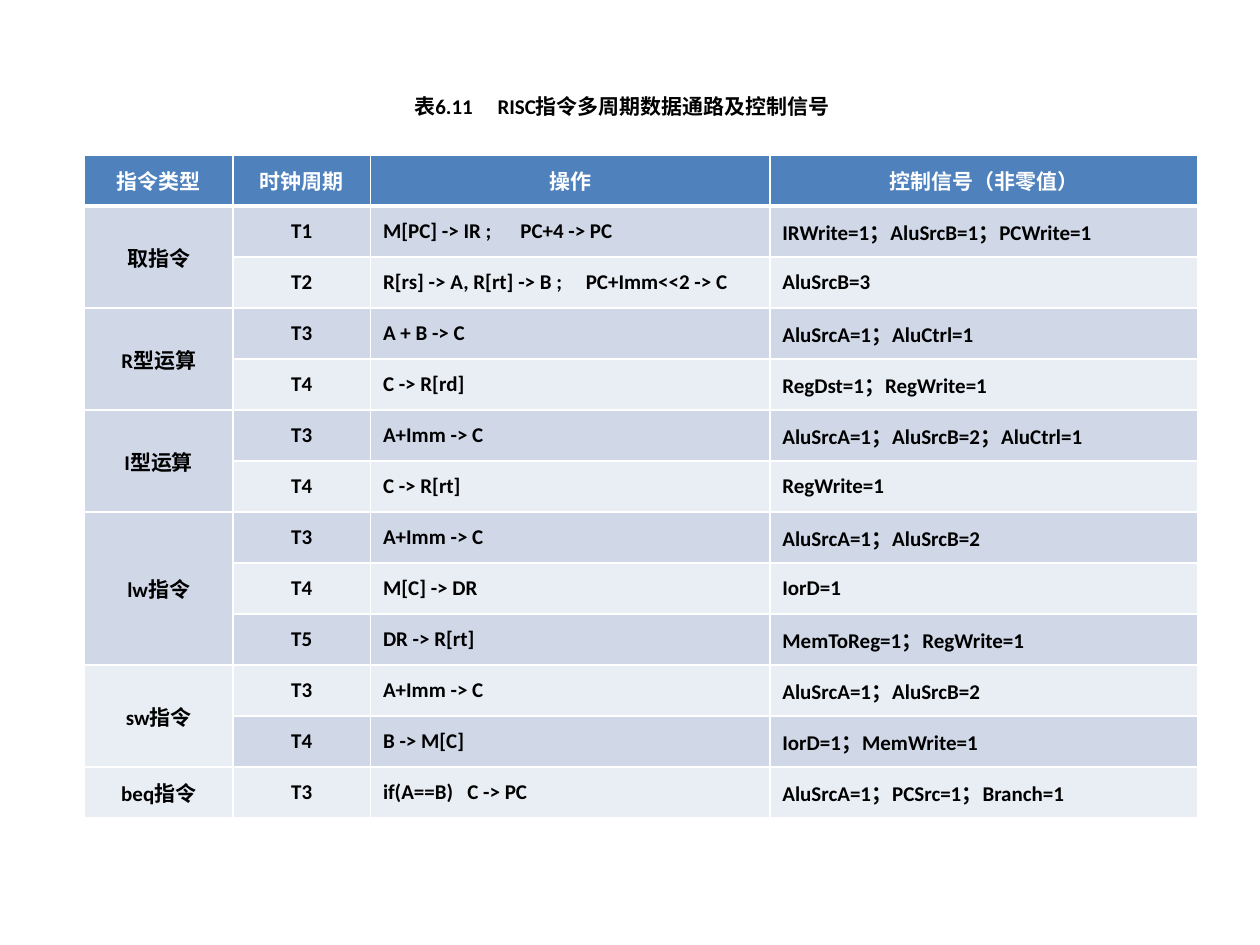
from lxml.etree import SubElement
from pptx import Presentation
from pptx.dml.color import RGBColor
from pptx.enum.text import MSO_ANCHOR, MSO_AUTO_SIZE, PP_ALIGN
from pptx.oxml.ns import qn
from pptx.util import Inches, Pt

TITLE = "表6.11\tRISC指令多周期数据通路及控制信号"
HEADINGS = ["指令类型", "时钟周期", "操作", "控制信号（非零值）"]
INSTRUCTIONS = [
    ("取指令", [
        ("T1", "M[PC] -> IR ;\tPC+4 -> PC", "IRWrite=1；AluSrcB=1；PCWrite=1"),
        ("T2", "R[rs] -> A, R[rt] -> B ;\tPC+Imm<<2 -> C", "AluSrcB=3"),
    ]),
    ("R型运算", [
        ("T3", "A + B -> C", "AluSrcA=1；AluCtrl=1"),
        ("T4", "C -> R[rd]", "RegDst=1；RegWrite=1"),
    ]),
    ("I型运算", [
        ("T3", "A+Imm -> C", "AluSrcA=1；AluSrcB=2；AluCtrl=1"),
        ("T4", "C -> R[rt]", "RegWrite=1"),
    ]),
    ("lw指令", [
        ("T3", "A+Imm -> C", "AluSrcA=1；AluSrcB=2"),
        ("T4", "M[C] -> DR", "IorD=1"),
        ("T5", "DR -> R[rt]", "MemToReg=1；RegWrite=1"),
    ]),
    ("sw指令", [
        ("T3", "A+Imm -> C", "AluSrcA=1；AluSrcB=2"),
        ("T4", "B -> M[C]", "IorD=1；MemWrite=1"),
    ]),
    ("beq指令", [
        ("T3", "if(A==B)\tC -> PC", "AluSrcA=1；PCSrc=1；Branch=1"),
    ]),
]
# Where the text after the tab starts, in inches from the text's left edge
TAB_STOPS = {"表6.11": 0.66, "M[PC] -> IR ;": 1.09,
             "R[rs] -> A, R[rt] -> B ;": 1.61, "if(A==B)": 0.67}

COLUMN_WIDTHS = [1.18, 1.09, 3.17, 3.4]
ROW_HEIGHT = 0.405
HEADER_FILL = "4F81BD"
BAND_FILLS = ["D0D8E8", "E9EDF4"]
WHITE, BLACK = "FFFFFF", "000000"


def rgb(color):
    return RGBColor.from_string(color)


def write(frame, text, color=BLACK, align=PP_ALIGN.LEFT, size=12):
    paragraph = frame.paragraphs[0]
    paragraph.alignment = align
    before_tab, tab, _ = text.partition("\t")
    if tab:
        tabs = SubElement(paragraph._p.get_or_add_pPr(), qn("a:tabLst"))
        SubElement(tabs, qn("a:tab"), pos=str(Inches(TAB_STOPS[before_tab])), algn="l")
    run = paragraph.add_run()
    run.text = text
    run.font.name = "Calibri"
    run.font.size = Pt(size)
    run.font.bold = True
    run.font.color.rgb = rgb(color)


def add_borders(cell, top=1, bottom=1):
    widths = {"a:lnL": 1, "a:lnR": 1, "a:lnT": top, "a:lnB": bottom}
    for tag, width in widths.items():
        line = SubElement(cell._tc.get_or_add_tcPr(), qn(tag), w=str(Pt(width)))
        SubElement(SubElement(line, qn("a:solidFill")), qn("a:srgbClr"), val=WHITE)


def format_cell(cell, fill, **borders):
    add_borders(cell, **borders)
    cell.fill.solid()
    cell.fill.fore_color.rgb = rgb(fill)
    cell.vertical_anchor = MSO_ANCHOR.MIDDLE


def add_title(slide):
    box = slide.shapes.add_textbox(Inches(3.19), Inches(0.69), Inches(3.55), Inches(0.3))
    box.text_frame.word_wrap = True
    box.text_frame.auto_size = MSO_AUTO_SIZE.SHAPE_TO_FIT_TEXT
    write(box.text_frame, TITLE)


def add_signal_table(slide):
    row_count = 1 + sum(len(cycles) for _, cycles in INSTRUCTIONS)
    table = slide.shapes.add_table(
        row_count, len(HEADINGS), Inches(0.67), Inches(1.23),
        Inches(sum(COLUMN_WIDTHS)), Inches(ROW_HEIGHT * row_count)).table
    for column, width in zip(table.columns, COLUMN_WIDTHS):
        column.width = Inches(width)
    for row in table.rows:
        row.height = Inches(ROW_HEIGHT)

    for column, heading in enumerate(HEADINGS):
        cell = table.cell(0, column)
        format_cell(cell, HEADER_FILL, bottom=3)
        write(cell.text_frame, heading, color=WHITE, align=PP_ALIGN.CENTER)

    row = 1
    for instruction, cycles in INSTRUCTIONS:
        first_row = row
        for cycle in cycles:
            label = instruction if row == first_row else ""
            for column, text in enumerate((label, *cycle)):
                cell = table.cell(row, column)
                format_cell(cell, BAND_FILLS[(row - 1) % 2], top=3 if row == 1 else 1)
                if text:
                    align = PP_ALIGN.CENTER if column < 2 else PP_ALIGN.LEFT
                    write(cell.text_frame, text, align=align)
            row += 1
        if len(cycles) > 1:
            table.cell(first_row, 0).merge(table.cell(row - 1, 0))


def main():
    presentation = Presentation()
    presentation.slide_width = Inches(10)
    presentation.slide_height = Inches(7.5)
    slide = presentation.slides.add_slide(presentation.slide_layouts[6])
    add_signal_table(slide)
    add_title(slide)
    presentation.save("out.pptx")


if __name__ == "__main__":
    main()
